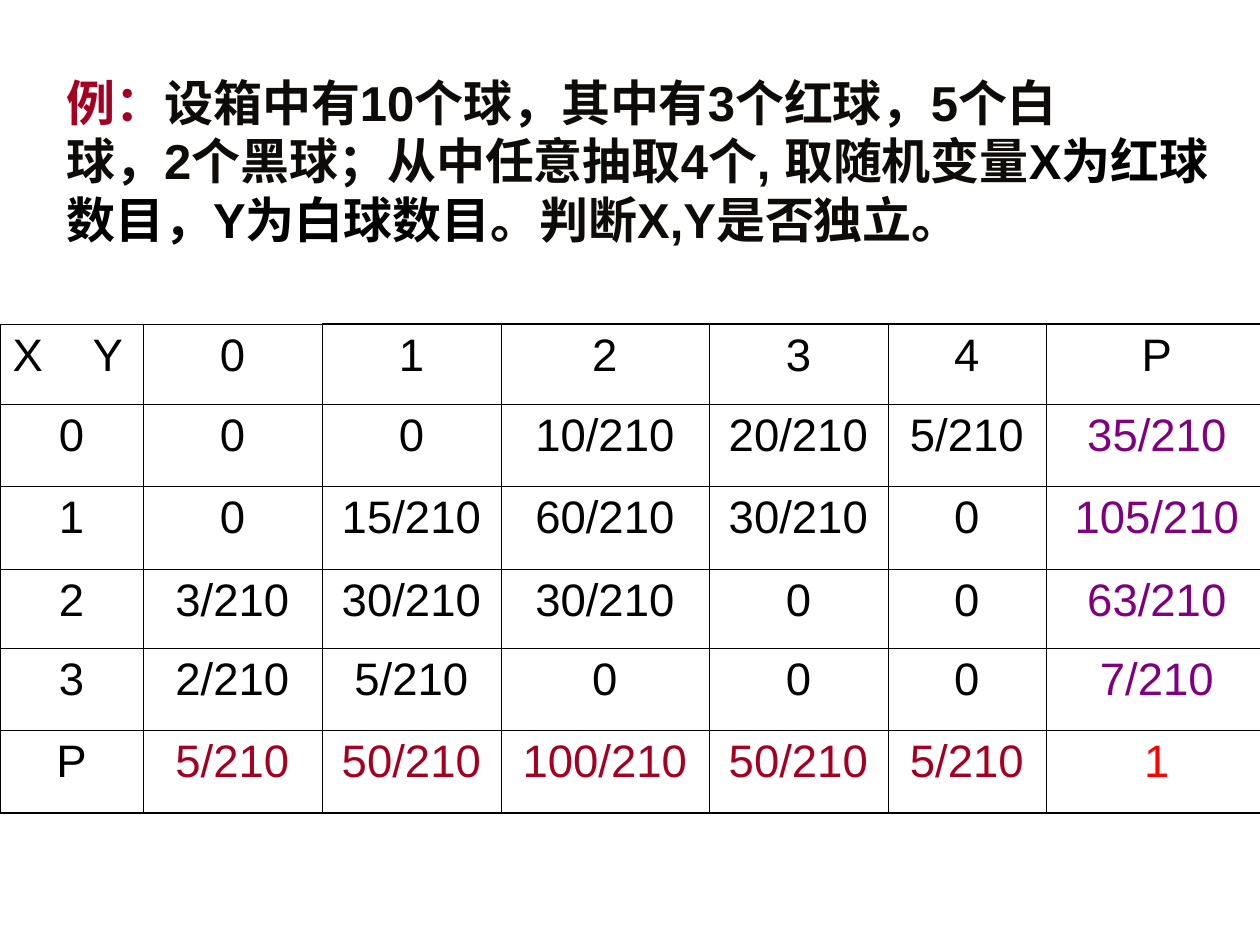
import dataclasses

import pptx
import pptx.dml.color
import pptx.enum.text
import pptx.oxml
import pptx.oxml.ns
import pptx.util

EMU = 914400 / 126
FONT = "Arial"
COLOR = {
    "black": "000000",
    "ink": "0E0B08",
    "red": "A50021",
    "purple": "800080",
    "total": "FF0000",
}
THIN, THICK = 0.45, 1.08
COLS = [143, 179, 179, 208, 179, 158, 222]
ROWS = [80, 82, 83, 79, 82, 83]
GRID = [
    ["X\tY", "0", "1", "2", "3", "4", "P"],
    ["0", "0", "0", "10/210", "20/210", "5/210", "35/210"],
    ["1", "0", "15/210", "60/210", "30/210", "0", "105/210"],
    ["2", "3/210", "30/210", "30/210", "0", "0", "63/210"],
    ["3", "2/210", "5/210", "0", "0", "0", "7/210"],
    ["P", "5/210", "50/210", "100/210", "50/210", "5/210", "1"],
]


@dataclasses.dataclass
class Span:
    text: str
    color: str
    size: int
    bold: bool = False


TASK = [
    Span("例：", "red", 28, True),
    Span("设箱中有10个球，其中有3个红球，5个白\n球，2个黑球；从中任意抽取4个, 取随机变量",
         "ink", 28, True),
    Span("X为红球数目，Y为白球数目", "black", 28, True),
    Span("。判断X,Y是否独立。", "ink", 28, True),
]


def px(n: int) -> pptx.util.Emu:
    return pptx.util.Emu(round(n * EMU))


def write(para, span: Span) -> None:
    """Add the span's runs, with a line break at each newline."""
    for i, text in enumerate(span.text.split("\n")):
        if i:
            para.add_line_break()
        run = para.add_run()
        run.text = text
        font = run.font
        font.name, font.size, font.bold = FONT, pptx.util.Pt(span.size), span.bold
        font.color.rgb = pptx.dml.color.RGBColor.from_string(COLOR[span.color])


def add_tab(para, pos: int) -> None:
    para._p.get_or_add_pPr().append(pptx.oxml.parse_xml(
        f'<a:tabLst {pptx.oxml.ns.nsdecls("a")}>'
        f'<a:tab pos="{px(pos)}" algn="l"/></a:tabLst>'))


def rule(cell, row: int, col: int) -> None:
    """Draw the cell borders: thin inside, thick on the outer frame."""
    plain = row == 0 and col < 2
    outer = {
        "L": col == 0,
        "R": col == len(COLS) - 1,
        "T": row == 0,
        "B": row == len(ROWS) - 1,
    }
    props = cell._tc.get_or_add_tcPr()
    for i, (side, edge) in enumerate(outer.items()):
        width = pptx.util.Pt(THICK if edge and not plain else THIN)
        props.insert(i, pptx.oxml.parse_xml(
            f'<a:ln{side} {pptx.oxml.ns.nsdecls("a")} w="{width}">'
            f'<a:solidFill><a:srgbClr val="{COLOR["black"]}"/></a:solidFill>'
            f'</a:ln{side}>'))


def tint(row: int, col: int) -> str:
    """Choose the text colour: marginal sums differ from the joint values."""
    last_row, last_col = row == len(ROWS) - 1, col == len(COLS) - 1
    if last_row and last_col:
        return "total"
    if last_row and col > 0:
        return "red"
    if last_col and row > 0:
        return "purple"
    return "black"


def add_task(slide) -> None:
    box = slide.shapes.add_textbox(px(54), px(66), px(1171), px(189))
    frame = box.text_frame
    frame.word_wrap = True
    for span in TASK:
        write(frame.paragraphs[0], span)


def add_grid(slide) -> None:
    table = slide.shapes.add_table(
        len(ROWS), len(COLS), px(0), px(324), px(sum(COLS)), px(sum(ROWS))).table
    table.first_row = table.horz_banding = False
    for col, width in zip(table.columns, COLS):
        col.width = px(width)
    for row, height in zip(table.rows, ROWS):
        row.height = px(height)
    for r, line in enumerate(GRID):
        for c, text in enumerate(line):
            cell = table.cell(r, c)
            cell.fill.background()
            rule(cell, r, c)
            para = cell.text_frame.paragraphs[0]
            para.space_before = pptx.util.Pt(6.5)
            if "\t" in text:
                add_tab(para, 80)
            else:
                para.alignment = pptx.enum.text.PP_ALIGN.CENTER
            write(para, Span(text, tint(r, c), 26))


def main() -> None:
    deck = pptx.Presentation()
    deck.slide_width, deck.slide_height = px(1260), px(945)
    slide = deck.slides.add_slide(deck.slide_layouts[6])
    add_task(slide)
    add_grid(slide)
    deck.save("out.pptx")


if __name__ == "__main__":
    main()
